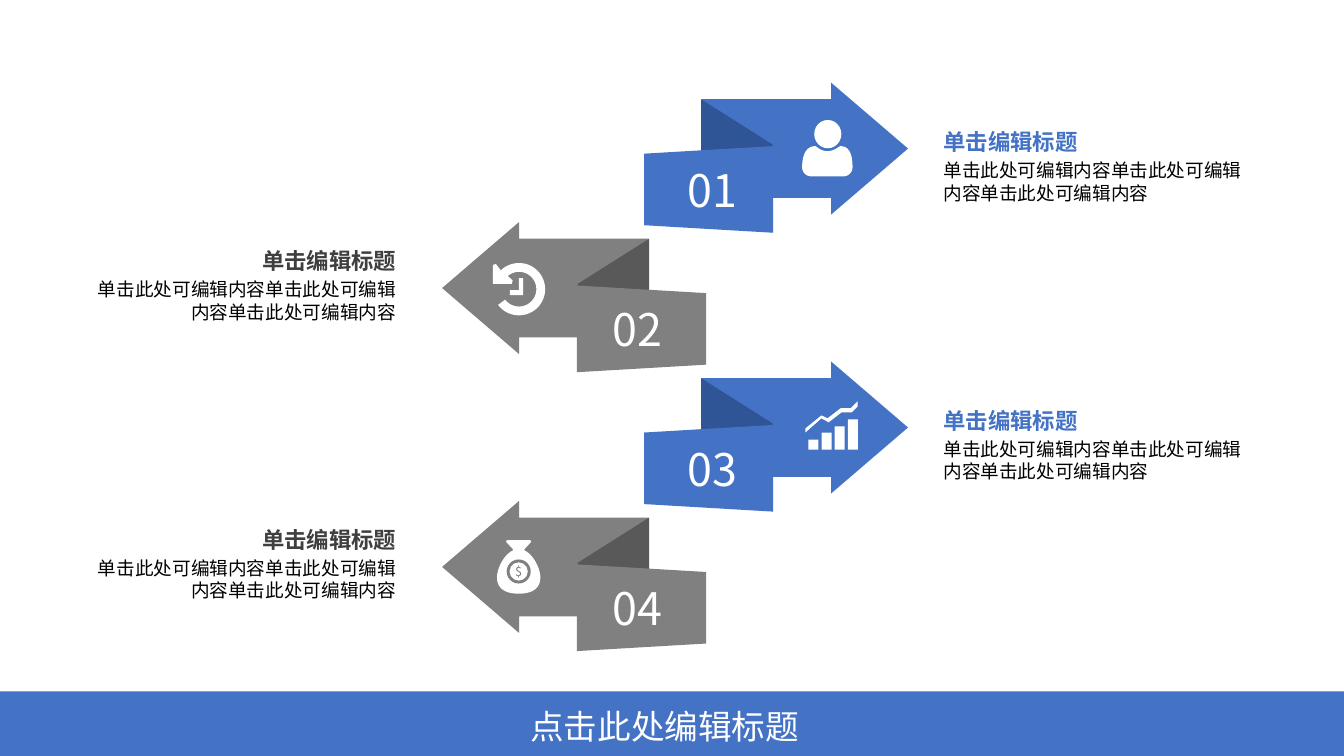
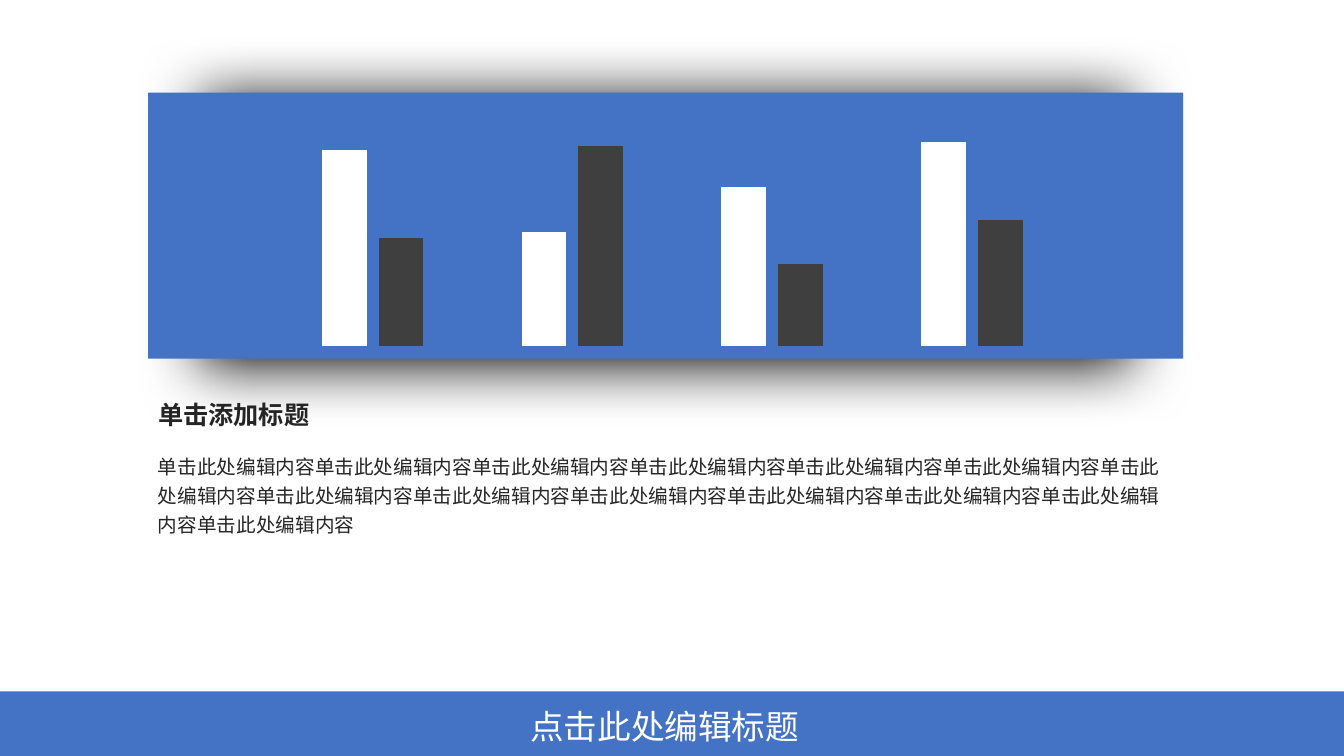
from math import cos, radians, sin

from lxml import etree
from pptx import Presentation
from pptx.chart.data import CategoryChartData
from pptx.dml.color import RGBColor
from pptx.enum.chart import XL_CHART_TYPE as ChartType
from pptx.enum.shapes import MSO_SHAPE as Shape
from pptx.enum.text import MSO_ANCHOR as Anchor, MSO_AUTO_SIZE as AutoSize, PP_ALIGN as Align
from pptx.oxml import parse_xml
from pptx.oxml.ns import nsdecls, qn
from pptx.util import Pt

FONT = "Noto Sans CJK SC"
BLUE, DARK_BLUE = "4472C4", "2F5597"
GRAY, DARK_GRAY = "808080", "595959"
WHITE, BLACK, CHARCOAL, INK = "FFFFFF", "000000", "3F3F3F", "262626"
WIDTH, HEIGHT = 960, 540
FOOTER_TOP = 493.9
RIBBON_TOP, RIBBON_PITCH = 59, 99.6
MIRROR_SPAN = 964.4  # twice the x of the axis between right and left ribbons
CAPTION = "单击此处可编辑内容" * 3


def color(hex_string):
    return RGBColor.from_string(hex_string)


def write(frame, text, size=14, fill=BLACK, bold=False, align=Align.LEFT,
          leading=1.2, before=0, append=False):
    """Write one paragraph; leading is the line pitch as a multiple of size."""
    paragraph = frame.add_paragraph() if append else frame.paragraphs[0]
    paragraph.alignment = align
    paragraph.line_spacing = Pt(round(size * leading, 1))
    if before:
        paragraph.space_before = Pt(before)
    run = paragraph.add_run()
    run.text = text
    run.font.size = Pt(size)
    run.font.bold = bold
    run.font.name = FONT
    run.font.color.rgb = color(fill)
    east_asian = etree.SubElement(run.font._element, qn("a:ea"))
    east_asian.set("typeface", FONT)


def arc(center, radius, start, end, steps=40):
    """Points on a circle; angles run clockwise from the right."""
    angles = [radians(start + (end - start) * i / steps) for i in range(steps + 1)]
    return [(center + radius * cos(a), center + radius * sin(a)) for a in angles]


def flatten(start, *segments, steps=12):
    """Points of an outline whose segments are lines (x, y) or cubic curves (six numbers)."""
    points = [start]
    for segment in segments:
        if len(segment) == 2:
            points.append(segment)
            continue
        corners = [points[-1], segment[:2], segment[2:4], segment[4:]]
        for i in range(1, steps + 1):
            t = i / steps
            weights = ((1 - t) ** 3, 3 * t * (1 - t) ** 2, 3 * t * t * (1 - t), t ** 3)
            points.append(tuple(sum(w * c[axis] for w, c in zip(weights, corners))
                                for axis in (0, 1)))
    return points


class Deck:
    def __init__(self):
        self.presentation = Presentation()
        self.presentation.slide_width = Pt(WIDTH)
        self.presentation.slide_height = Pt(HEIGHT)
        self.slide = None

    def add_slide(self):
        self.slide = self.presentation.slides.add_slide(self.presentation.slide_layouts[6])

    def paint(self, shape, fill):
        shape.shadow.inherit = False
        shape.fill.solid()
        shape.fill.fore_color.rgb = color(fill)
        shape.line.fill.background()
        return shape

    def shape(self, kind, left, top, width, height, fill, adjustments=(),
              rotation=0, flip="", mirrored=False):
        """Add a preset shape; mirrored reflects it about the ribbon axis."""
        flips = set(flip)
        if mirrored:
            left = MIRROR_SPAN - left - width
            rotation = (360 - rotation) % 360
            flips ^= {"H"}
        shape = self.slide.shapes.add_shape(kind, Pt(left), Pt(top), Pt(width), Pt(height))
        for i, value in enumerate(adjustments):
            shape.adjustments[i] = value
        shape.rotation = rotation
        for axis in sorted(flips):
            shape.element.spPr.xfrm.set("flip" + axis, "1")
        return self.paint(shape, fill)

    def outline(self, left, top, points, fill=WHITE):
        corners = [(Pt(left + x), Pt(top + y)) for x, y in points]
        builder = self.slide.shapes.build_freeform(*corners[0], scale=1.0)
        builder.add_line_segments(corners[1:], close=True)
        return self.paint(builder.convert_to_shape(), fill)

    def text_box(self, left, top, width, height, inset=True):
        box = self.slide.shapes.add_textbox(Pt(left), Pt(top), Pt(width), Pt(height))
        frame = box.text_frame
        frame.word_wrap = True
        frame.auto_size = AutoSize.SHAPE_TO_FIT_TEXT
        if not inset:
            frame.margin_left = frame.margin_right = frame.margin_top = frame.margin_bottom = 0
        return frame

    def footer(self, title):
        self.shape(Shape.RECTANGLE, 0, FOOTER_TOP, WIDTH, HEIGHT - FOOTER_TOP, BLUE)
        frame = self.text_box(330.5, 500.4, 288.7, 36)
        write(frame, title, size=24, fill=WHITE, align=Align.CENTER)

    def ribbon(self, number, top, fill, fold_fill, mirrored):
        self.shape(Shape.RIGHT_ARROW, 501, top, 147.6, 94.3, fill,
                   (0.748, 0.583), mirrored=mirrored)
        self.shape(Shape.PARALLELOGRAM, 478.8, top + 33.9, 95, 51.1, fold_fill,
                   (0.632,), rotation=90, flip="HV", mirrored=mirrored)
        tab = self.shape(Shape.TRAPEZOID, 475.2, top + 30.2, 61.9, 92.2, fill,
                         (0.087,), rotation=270, mirrored=mirrored)
        frame = tab.text_frame
        frame._txBody.bodyPr.set("vert", "vert270" if mirrored else "vert")
        frame.vertical_anchor = Anchor.MIDDLE
        write(frame, number, size=32, fill=WHITE, align=Align.CENTER)

    def caption(self, left, top, title_fill, align):
        frame = self.text_box(left, top, 221.8, 54.7, inset=False)
        write(frame, "单击编辑标题", size=16, fill=title_fill, bold=True, align=align)
        write(frame, CAPTION, size=13.3, align=align, before=3, append=True)

    def person_icon(self, left, top):
        self.shape(Shape.OVAL, left + 8.6, top, 19.4, 20.2, WHITE)
        self.outline(left, top, flatten(
            (29.5, 40.3), (6.5, 40.3),
            (2.9, 40.3, 0, 37.4, 0, 33.8),
            (0, 28.1, 1.4, 18.7, 9.4, 18.7),
            (10.1, 18.7, 13, 22.3, 18, 22.3),
            (23, 22.3, 26.6, 18.7, 27.4, 18.7),
            (35.3, 18.7, 36, 28.1, 36, 33.8),
            (36, 37.4, 33.1, 40.3, 29.5, 40.3)))

    def history_icon(self, left, top):
        arrowhead = [(2.2, 0.7), (0, 1.4), (0, 15), (13.5, 15), (14.2, 12.5), (10.2, 8.8)]
        self.outline(left, top, arc(18.7, 18.7, 143, -134) + arrowhead
                     + arc(18.7, 12.4, -131, 143))
        self.outline(left, top, [(18.7, 10.8), (21.6, 10.8), (21.6, 23),
                                 (12.2, 23), (12.2, 19.4), (18.7, 19.4)])

    def growth_icon(self, left, top):
        for i, height in enumerate((7.2, 12.2, 16.6, 21.6)):
            self.shape(Shape.RECTANGLE, left + 2.2 + 9.36 * i, top + 34.6 - height,
                       7.2, height, WHITE)
        self.outline(left, top, [(32.4, 5), (25.2, 5), (15.8, 12.2), (11.5, 10.1),
                                 (0, 19.4), (0, 22.3), (11.5, 12.2), (16.6, 15.1),
                                 (25.9, 7.9), (33.1, 7.9), (37.4, 3.6), (37.4, 0)])

    def money_icon(self, left, top):
        self.outline(left, top, flatten(
            (11.5, 7.2),
            (5, 10.1, 0, 20.2, 0, 26.6),
            (0, 35.3, 7.2, 38.2, 15.5, 38.2),
            (23.8, 38.2, 31, 35.3, 31, 26.6),
            (31, 20.2, 26, 10.1, 19.5, 7.2),
            (19.5, 6.5), (23.5, 2.2),
            (25, 0.7, 24.5, 0, 23, 0),
            (8, 0),
            (6.5, 0, 6, 0.7, 7.5, 2.2),
            (11.5, 6.5)))
        for radius, fill in ((8.6, GRAY), (6.5, WHITE)):
            coin = self.shape(Shape.OVAL, left + 15.5 - radius, top + 22.3 - radius,
                              2 * radius, 2 * radius, fill)
        frame = coin.text_frame
        frame.margin_left = frame.margin_right = frame.margin_top = frame.margin_bottom = 0
        frame.word_wrap = False
        frame.vertical_anchor = Anchor.MIDDLE
        write(frame, "$", size=9, fill=GRAY, align=Align.CENTER)

    def shadowed_panel(self, left, top, width, height):
        panel = self.shape(Shape.RECTANGLE, left, top, width, height, BLUE)
        effects = panel.element.spPr.find(qn("a:effectLst"))
        effects.append(parse_xml(
            f'<a:outerShdw {nsdecls("a")} blurRad="{Pt(45)}" dist="{Pt(4)}" dir="5400000" '
            f'sx="90000" sy="100000" algn="ctr" rotWithShape="0">'
            f'<a:srgbClr val="{BLACK}"/></a:outerShdw>'))

    def column_chart(self, left, top, width, height, categories, series):
        """Add a bare column chart; series holds (name, values, fill)."""
        data = CategoryChartData()
        data.categories = categories
        for name, values, _ in series:
            data.add_series(name, values)
        chart = self.slide.shapes.add_chart(ChartType.COLUMN_CLUSTERED, Pt(left), Pt(top),
                                            Pt(width), Pt(height), data).chart
        chart.has_legend = chart.has_title = False
        chart.font.size = Pt(10)
        chart.font.name = FONT
        chart.font.color.rgb = color(BLACK)
        for axis in (chart.category_axis, chart.value_axis):
            axis.has_major_gridlines = False
            axis.visible = False
        chart.value_axis.minimum_scale = 0
        chart.value_axis.maximum_scale = 111
        plot = chart.plots[0]
        plot.gap_width, plot.overlap = 219, -27
        plot.vary_by_categories = False
        for columns, (_, _, fill) in zip(plot.series, series):
            columns.format.fill.solid()
            columns.format.fill.fore_color.rgb = color(fill)


def ribbon_slide(deck):
    deck.add_slide()
    icons = ((deck.person_icon, 573, 26.7), (deck.history_icon, 352, 29.3),
             (deck.growth_icon, 575.3, 28.4), (deck.money_icon, 355, 28.1))
    for i, (draw_icon, icon_left, icon_drop) in enumerate(icons):
        top = RIBBON_TOP + RIBBON_PITCH * i
        mirrored = i % 2 == 1
        fill, fold_fill = (GRAY, DARK_GRAY) if mirrored else (BLUE, DARK_BLUE)
        deck.ribbon(f"{i + 1:02}", top, fill, fold_fill, mirrored)
        draw_icon(icon_left, top + icon_drop)
        if mirrored:
            deck.caption(61.2, top + 17.8, CHARCOAL, Align.RIGHT)
        else:
            deck.caption(673.9, top + 32.4, BLUE, Align.LEFT)
    deck.footer("点击此处编辑标题")


def chart_slide(deck):
    left, width = 105.8, 739.4
    deck.add_slide()
    body = deck.text_box(left, 318.2, width, 88.6)
    write(body, "单击此处编辑内容" * 14, fill=INK, leading=1.46)
    heading = deck.text_box(left, 281.5, 131, 28.8)
    write(heading, "单击添加标题", size=18, fill=INK, bold=True)
    deck.footer("点击此处编辑标题")
    deck.shadowed_panel(left, 66.2, width, 190.1)
    deck.column_chart(182.9, 82.1, 594.7, 168.5, ("1", "2", "3", "4"),
                      (("Series 1", (96, 56, 78, 100), WHITE),
                       ("Series 2", (53, 98, 40, 62), CHARCOAL)))


def main():
    deck = Deck()
    ribbon_slide(deck)
    chart_slide(deck)
    deck.presentation.save("out.pptx")


if __name__ == "__main__":
    main()
